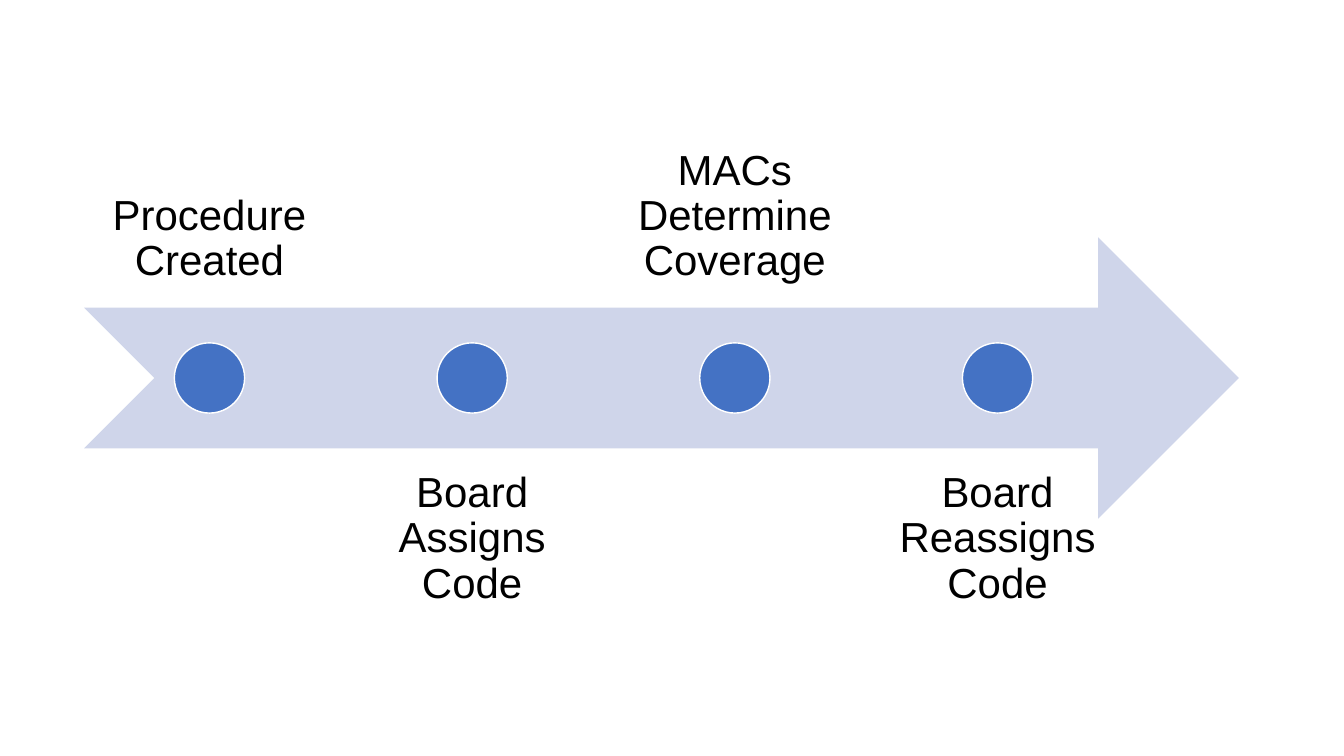
from pptx import Presentation
from pptx.dml.color import RGBColor
from pptx.enum.shapes import MSO_SHAPE
from pptx.enum.text import MSO_ANCHOR, PP_ALIGN
from pptx.util import Cm, Pt

ARROW, DOT = MSO_SHAPE.NOTCHED_RIGHT_ARROW, MSO_SHAPE.OVAL
TOP, BOTTOM, CENTER = MSO_ANCHOR.TOP, MSO_ANCHOR.BOTTOM, PP_ALIGN.CENTER

# Content: steps alternate above and below the arrow
STEPS = [
    "Procedure Created",
    "Board Assigns Code",
    "MACs Determine Coverage",
    "Board Reassigns Code",
]
COLORS = {"arrow": "CFD5EA", "dot": "4472C4", "outline": "FFFFFF", "text": "000000"}
FONT = "Arial"

# Layout in centimetres
SLIDE_W, SLIDE_H = 33.87, 19.05
ARROW_LEFT, ARROW_W, BAND_H = 2.12, 29.1, 7.09
LABEL_W, LABEL_MARGIN, LABEL_INSET = 6.3, 0.68, 0.59
DOT_SIZE = 1.77
FIRST_CENTER, STEP_PITCH = 5.28, 6.62


def color(name):
    return RGBColor.from_string(COLORS[name])


def add_filled(slide, kind, left, width, height, fill):
    """Add a filled shape centred vertically on the slide."""
    shape = slide.shapes.add_shape(
        kind, Cm(left), Cm((SLIDE_H - height) / 2), Cm(width), Cm(height))
    shape.shadow.inherit = False
    shape.fill.solid()
    shape.fill.fore_color.rgb = color(fill)
    shape.line.fill.background()
    return shape


def add_label(slide, step, center, above):
    top = LABEL_MARGIN if above else SLIDE_H - LABEL_MARGIN - BAND_H
    label = slide.shapes.add_textbox(
        Cm(center - LABEL_W / 2), Cm(top), Cm(LABEL_W), Cm(BAND_H))
    frame = label.text_frame
    frame.word_wrap = True
    frame.vertical_anchor = BOTTOM if above else TOP
    frame.margin_left = frame.margin_right = Cm(LABEL_INSET)
    frame.margin_top = frame.margin_bottom = Cm(LABEL_INSET)
    frame.text = step
    paragraph = frame.paragraphs[0]
    paragraph.alignment = CENTER
    paragraph.line_spacing = 0.9
    font = paragraph.runs[0].font
    font.name, font.size = FONT, Pt(30)
    font.color.rgb = color("text")


def main():
    prs = Presentation()
    prs.slide_width, prs.slide_height = Cm(SLIDE_W), Cm(SLIDE_H)
    slide = prs.slides.add_slide(prs.slide_layouts[6])

    # Timeline arrow
    add_filled(slide, ARROW, ARROW_LEFT, ARROW_W, BAND_H, "arrow")

    # Steps: a label and a dot each
    for index, step in enumerate(STEPS):
        center = FIRST_CENTER + index * STEP_PITCH
        add_label(slide, step, center, above=index % 2 == 0)
        dot = add_filled(slide, DOT, center - DOT_SIZE / 2, DOT_SIZE, DOT_SIZE, "dot")
        dot.line.color.rgb = color("outline")
        dot.line.width = Pt(1)

    prs.save("out.pptx")


if __name__ == "__main__":
    main()
